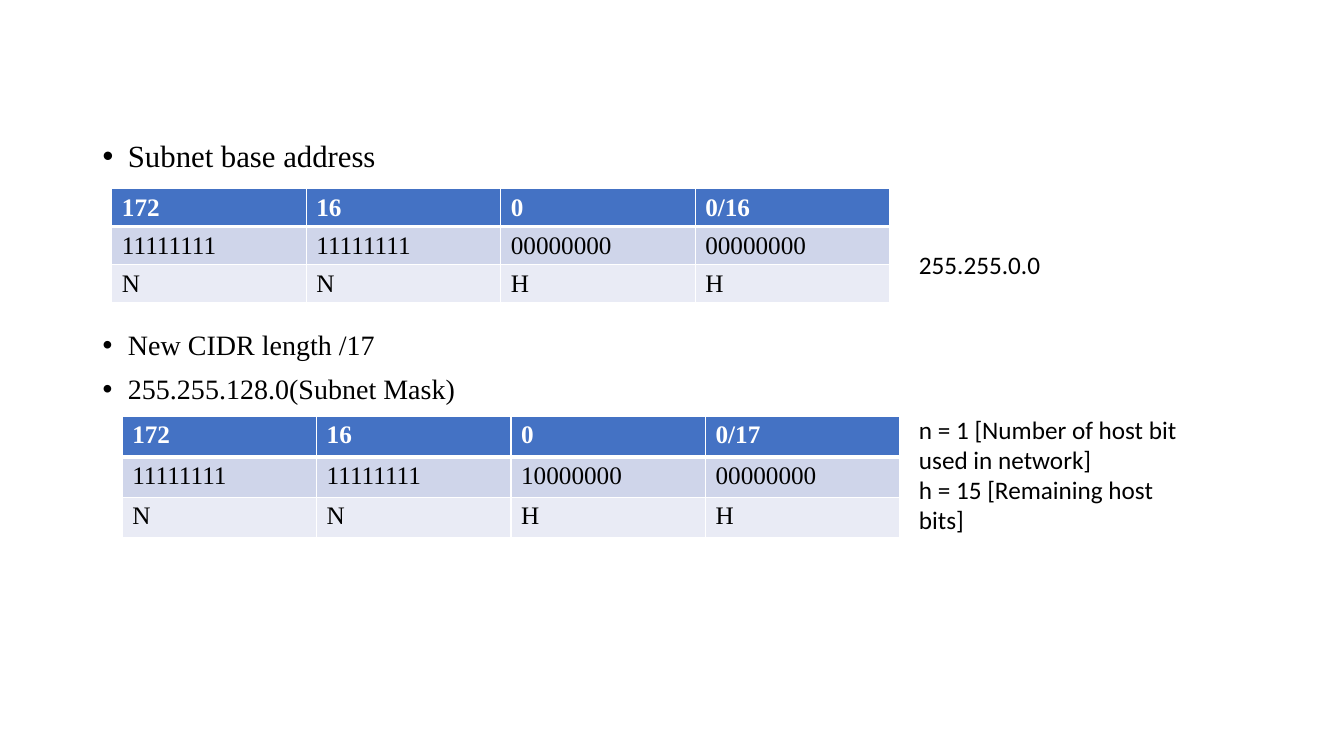
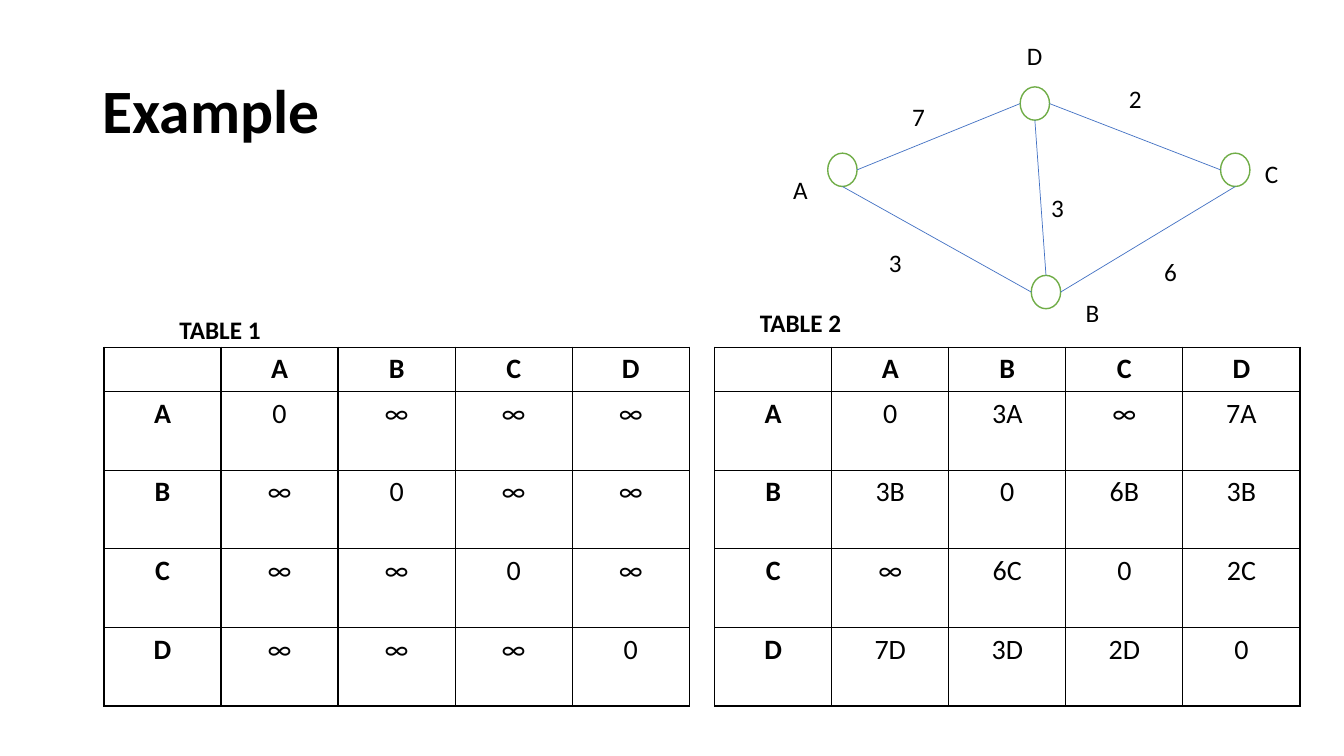
import pptx
import pptx.dml.color
import pptx.enum.shapes
import pptx.enum.text
import pptx.oxml
import pptx.oxml.ns
import pptx.util

Cm = pptx.util.Cm
Pt = pptx.util.Pt
RGBColor = pptx.dml.color.RGBColor
ALIGN = pptx.enum.text.PP_ALIGN
ANCHOR = pptx.enum.text.MSO_ANCHOR

BLACK = RGBColor(0x00, 0x00, 0x00)
WHITE = RGBColor(0xFF, 0xFF, 0xFF)
BLUE = RGBColor(0x44, 0x72, 0xC4)
BLUE_BAND = RGBColor(0xCF, 0xD5, 0xEA)
PALE_BAND = RGBColor(0xE9, 0xEB, 0xF5)
GREEN = RGBColor(0x70, 0xAD, 0x47)

SANS, SERIF = "Calibri", "Times New Roman"
LABEL = {"name": SANS, "size": Pt(18), "bold": False}
CAPTION = {**LABEL, "bold": True}
TITLE = {"name": SANS, "size": Pt(44), "bold": True}
OCTET = {"name": SERIF, "size": Pt(18), "bold": False}
OCTET_HEAD = {**OCTET, "bold": True}
DISTANCE = {"name": SANS, "size": Pt(20), "bold": False}
DISTANCE_HEAD = {**DISTANCE, "bold": True}

NODE_W, NODE_H = 0.74, 0.84
NODES = {"D": (5.97, 1.3), "A": (1.12, 2.97), "C": (11.02, 2.97), "B": (6.25, 6.05)}
NODE_LABELS = [("A", 0, 3.38), ("B", 7.37, 6.48), ("C", 11.89, 2.97), ("D", 5.89, 0)]
WEIGHTS = [("3", 6.5, 3.84), ("2", 8.46, 1.09), ("6", 9.35, 5.44),
           ("3", 2.41, 5.23), ("7", 3, 1.55)]
EDGES = [("D", "bottom", "B", "top"), ("D", "left", "A", "right"),
         ("D", "right", "C", "left"), ("C", "bottom", "B", "right"),
         ("B", "left", "A", "bottom")]
SIDES = {"top": (0.5, 0), "bottom": (0.5, 1), "left": (0, 0.5), "right": (1, 0.5)}

INITIAL_DISTANCES = ["0 ∞ ∞ ∞", "∞ 0 ∞ ∞", "∞ ∞ 0 ∞", "∞ ∞ ∞ 0"]
NEIGHBOUR_DISTANCES = ["0 3A ∞ 7A", "3B 0 6B 3B", "∞ 6C 0 2C", "7D 3D 2D 0"]


def set_all(target, values):
    for attribute, value in values.items():
        setattr(target, attribute, value)


def write(paragraph, text, font, color=BLACK):
    run = paragraph.add_run()
    run.text = text
    set_all(run.font, font)
    run.font.color.rgb = color


def add_label(slide, left, top, width, height, lines, font=LABEL):
    frame = slide.shapes.add_textbox(Cm(left), Cm(top), Cm(width), Cm(height)).text_frame
    frame.word_wrap = True
    for index, line in enumerate(lines):
        paragraph = frame.add_paragraph() if index else frame.paragraphs[0]
        write(paragraph, line, font)


def set_borders(cell, color, widths):
    """Draw the cell's left, right, top and bottom borders, widths in points."""
    properties = cell._tc.get_or_add_tcPr()
    for side, width in zip("LRTB", widths):
        properties.append(pptx.oxml.parse_xml(
            f'<a:ln{side} {pptx.oxml.ns.nsdecls("a")} w="{Pt(width)}">'
            f'<a:solidFill><a:srgbClr val="{color}"/></a:solidFill></a:ln{side}>'))


def add_grid(slide, left, top, column_width, row_heights, rows, style_cell):
    """Add a table; style_cell(row, column) gives font, text, fill and border settings."""
    columns = len(rows[0])
    table = slide.shapes.add_table(
        len(rows), columns, Cm(left), Cm(top),
        Cm(column_width * columns), Cm(sum(row_heights))).table
    table.horz_banding = False
    for column in table.columns:
        column.width = Cm(column_width)
    for r, (height, texts) in enumerate(zip(row_heights, rows)):
        table.rows[r].height = Cm(height)
        for c, text in enumerate(texts):
            cell = table.cell(r, c)
            style = style_cell(r, c)
            set_borders(cell, style["border"], style["widths"])
            cell.fill.solid()
            cell.fill.fore_color.rgb = style["fill"]
            paragraph = cell.text_frame.paragraphs[0]
            paragraph.alignment = style["align"]
            if text:
                write(paragraph, text, style["font"], style["color"])


def octet_style(row, column):
    return {"font": OCTET if row else OCTET_HEAD,
            "color": BLACK if row else WHITE,
            "fill": (BLUE, BLUE_BAND, PALE_BAND)[row],
            "border": WHITE,
            "widths": ((1, 1, 1, 3), (1, 1, 3, 1), (1, 1, 1, 1))[row],
            "align": ALIGN.LEFT}


def distance_style(row, column):
    return {"font": DISTANCE if row and column else DISTANCE_HEAD,
            "color": BLACK, "fill": WHITE, "border": BLACK,
            "widths": (1, 1, 1, 1), "align": ALIGN.CENTER}


def add_octet_table(slide, left, top, row_height, address, mask):
    rows = [address, mask, ["N", "N", "H", "H"]]
    add_grid(slide, left, top, 4.9, [row_height] * 3, rows, octet_style)


def add_distance_table(slide, left, top, distances):
    names = list("ABCD")
    rows = [["", *names]]
    rows += [[name, *line.split()] for name, line in zip(names, distances)]
    add_grid(slide, left, top, 2.95, [1.1] + [1.98] * 4, rows, distance_style)


def add_graph(slide, left, top):
    def anchor(node, side):
        x, y = NODES[node]
        across, down = SIDES[side]
        return Cm(left + x + across * NODE_W), Cm(top + y + down * NODE_H)

    for x, y in NODES.values():
        node = slide.shapes.add_shape(
            pptx.enum.shapes.MSO_SHAPE.OVAL,
            Cm(left + x), Cm(top + y), Cm(NODE_W), Cm(NODE_H))
        node.shadow.inherit = False
        node.fill.solid()
        node.fill.fore_color.rgb = WHITE
        node.line.color.rgb = GREEN
        node.line.width = Pt(1)
    for start, start_side, end, end_side in EDGES:
        edge = slide.shapes.add_connector(
            pptx.enum.shapes.MSO_CONNECTOR.STRAIGHT,
            *anchor(start, start_side), *anchor(end, end_side))
        edge.line.color.rgb = BLUE
        edge.line.width = Pt(0.5)
        edge._element.spPr.append(
            pptx.oxml.parse_xml(f'<a:effectLst {pptx.oxml.ns.nsdecls("a")}/>'))
    for text, x, y in NODE_LABELS + WEIGHTS:
        add_label(slide, left + x, top + y, 0.8, 1.03, [text])


def place(placeholder, left, top, width, height, anchor):
    set_all(placeholder, {"left": Cm(left), "top": Cm(top),
                          "width": Cm(width), "height": Cm(height)})
    set_all(placeholder.text_frame, {"auto_size": pptx.enum.text.MSO_AUTO_SIZE.NONE,
                                     "vertical_anchor": anchor, "word_wrap": True})


def add_bullets(body, items):
    """Fill the body with (text, size, space before) bullets."""
    for index, (text, size, space) in enumerate(items):
        frame = body.text_frame
        paragraph = frame.add_paragraph() if index else frame.paragraphs[0]
        properties = paragraph._p.get_or_add_pPr()
        properties.set("marL", str(Cm(0.64)))
        properties.set("indent", str(-Cm(0.64)))
        for tag in ('buFont typeface="Arial"', 'buChar char="•"'):
            properties.append(pptx.oxml.parse_xml(
                f'<a:{tag} {pptx.oxml.ns.nsdecls("a")}/>'))
        set_all(paragraph, {"line_spacing": 0.9, "space_before": Pt(space),
                            "alignment": ALIGN.LEFT})
        write(paragraph, text, {"name": SERIF, "size": Pt(size)})


def build_subnet_slide(deck):
    slide = deck.slides.add_slide(deck.slide_layouts[1])
    title = slide.shapes.title._element
    title.getparent().remove(title)
    body = slide.placeholders[1]
    place(body, 2.33, 3.43, 29.2, 13.7, ANCHOR.TOP)
    add_bullets(body, [("Subnet base address", 22, 0),
                       ("New CIDR length /17", 20, 112),
                       ("255.255.128.0(Subnet Mask)", 20, 10)])
    add_octet_table(slide, 2.82, 4.75, 0.95, ["172", "16", "0", "0/16"],
                    ["11111111", "11111111", "00000000", "00000000"])
    add_octet_table(slide, 3.08, 10.49, 1.02, ["172", "16", "0", "0/17"],
                    ["11111111", "11111111", "10000000", "00000000"])
    add_label(slide, 22.91, 6.15, 7.42, 1.03, ["255.255.0.0"])
    add_label(slide, 22.91, 10.31, 7.42, 3.33,
              ["n = 1 [Number of host bit used in network]",
               "h = 15 [Remaining host bits]"])


def build_example_slide(deck):
    slide = deck.slides.add_slide(deck.slide_layouts[5])
    title = slide.shapes.title
    place(title, 2.33, 1.01, 29.2, 3.68, ANCHOR.MIDDLE)
    heading = title.text_frame.paragraphs[0]
    set_all(heading, {"alignment": ALIGN.LEFT, "line_spacing": 0.9})
    write(heading, "Example", TITLE)
    add_distance_table(slide, 2.62, 8.75, INITIAL_DISTANCES)
    add_distance_table(slide, 18.01, 8.75, NEIGHBOUR_DISTANCES)
    add_graph(slide, 19.74, 0.89)
    add_label(slide, 4.27, 7.8, 4.78, 1.03, ["TABLE 1"], CAPTION)
    add_label(slide, 18.9, 7.62, 4.78, 1.03, ["TABLE 2"], CAPTION)


def main():
    deck = pptx.Presentation()
    set_all(deck, {"slide_width": Cm(33.87), "slide_height": Cm(19.05)})
    build_subnet_slide(deck)
    build_example_slide(deck)
    deck.save("out.pptx")


if __name__ == "__main__":
    main()
